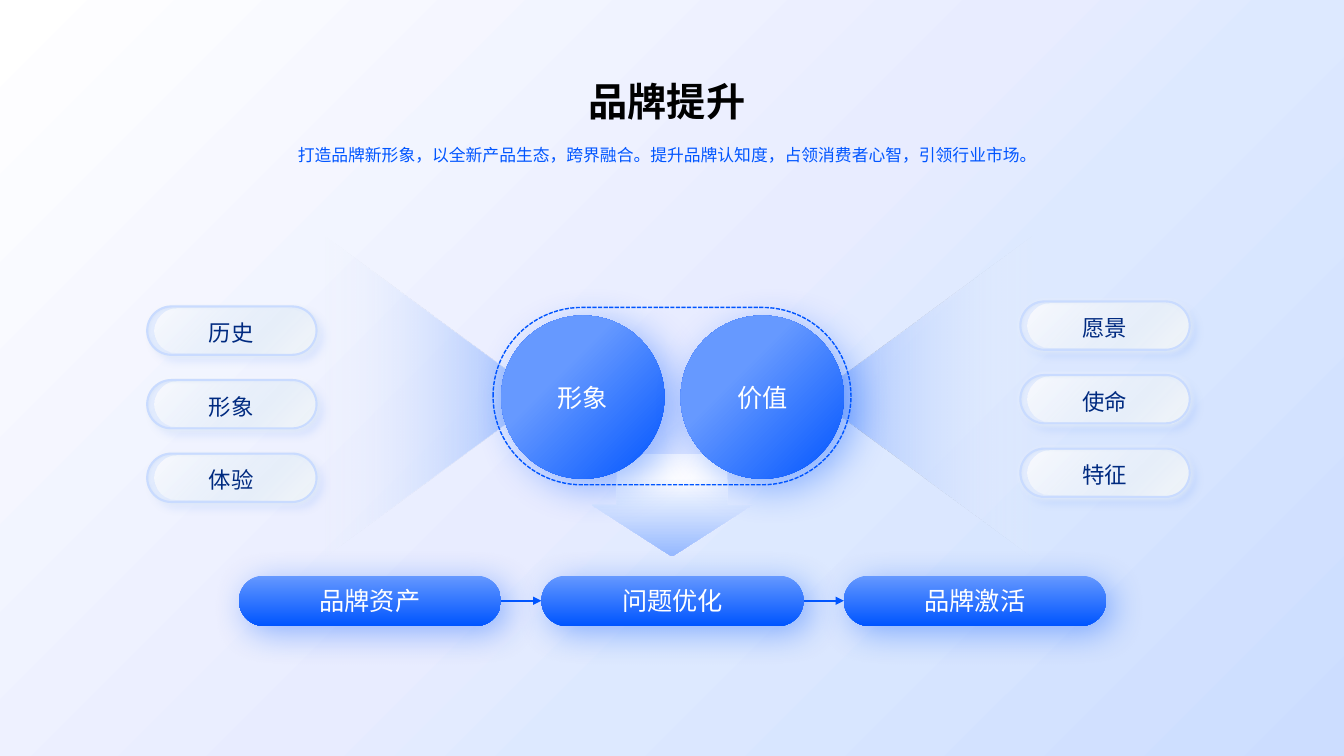
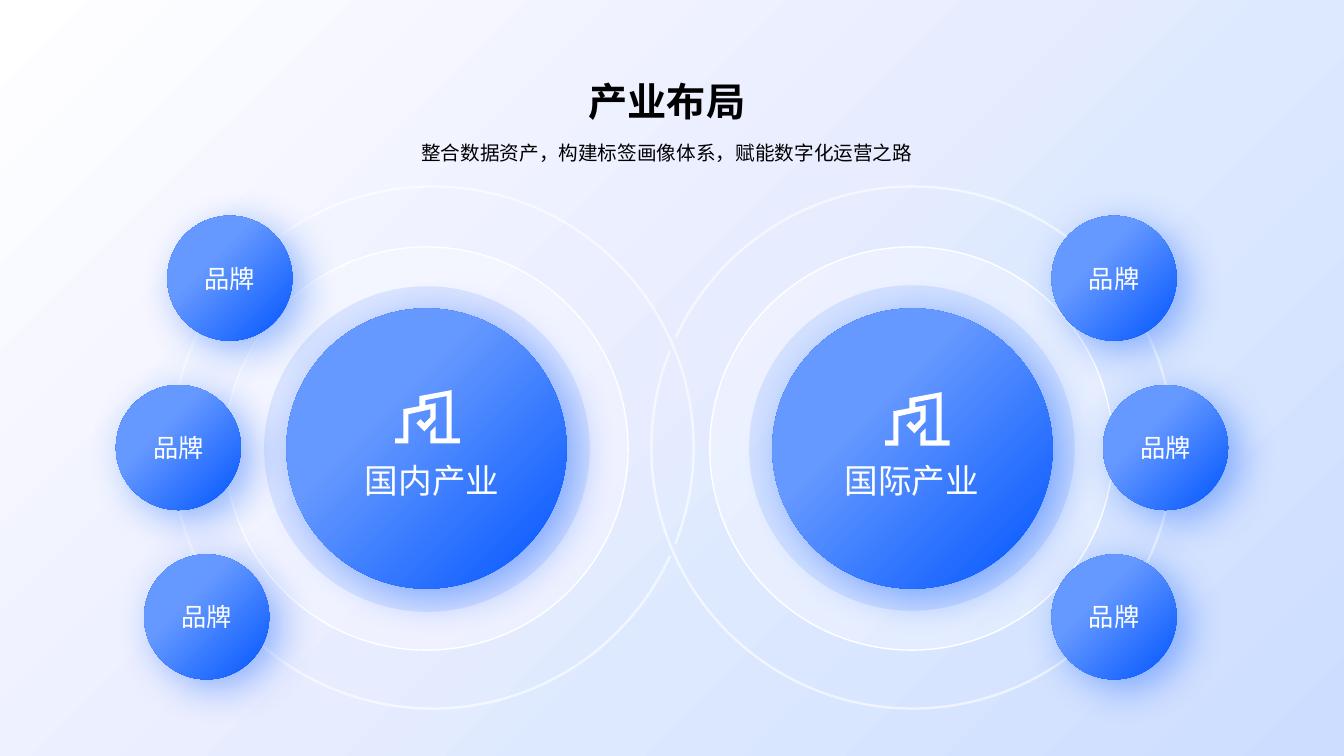
from dataclasses import dataclass
from typing import Any, NamedTuple, Optional

from lxml import etree
from pptx import Presentation
from pptx.dml.color import RGBColor
from pptx.enum import dml, shapes as kinds, text
from pptx.oxml import ns
from pptx.util import Inches, Pt

COLORS = {
    "white": "FFFFFF", "black": "000000", "blue": "0055FF", "mid": "6699FF",
    "light": "99BBFF", "pale": "CCDDFF", "lavender": "E8ECFF", "sky": "DDE9FF",
    "ice": "E3ECFF", "mist": "F2F6FF", "cloud": "F0F5FA", "navy": "002A80",
    "edge": "D7E1F2", "rim": "C9DBFF", "steel": "78A6D3",
}
LATIN, CJK = "Roboto", "Noto Sans CJK SC"
OVAL = kinds.MSO_SHAPE.OVAL
ROUNDED = kinds.MSO_SHAPE.ROUNDED_RECTANGLE


class Stop(NamedTuple):
    at: float
    color: str
    alpha: float = 100


class Gradient(NamedTuple):
    stops: tuple[Stop, ...]
    angle: Optional[float] = None  # None spreads from the top left corner


class Solid(NamedTuple):
    color: str
    alpha: float = 100


class Line(NamedTuple):
    color: str
    width: float
    alpha: float = 100
    dash: Any = None


class Shadow(NamedTuple):
    color: str
    alpha: float
    blur: float
    distance: float
    angle: float


class Frame(NamedTuple):
    left: float
    top: float
    width: float
    height: float


@dataclass(frozen=True)
class Style:
    fill: Any = None
    line: Optional[Line] = None
    shadow: Optional[Shadow] = None
    adjust: tuple[float, ...] = ()
    turn: float = 0


@dataclass(frozen=True)
class Type:
    size: float
    color: str = "white"
    bold: bool = False
    name: str = LATIN
    spacing: float = 1.0


@dataclass(frozen=True)
class Hub:
    label: str
    label_left: float
    ring_left: float
    halo: tuple[float, float]
    core_left: float
    arc_left: float
    arc_adjust: tuple[float, float]
    icon: tuple[float, float]
    satellites: tuple[float, float, float]


BACKDROP = Gradient((Stop(0, "white"), Stop(50, "lavender"), Stop(62, "sky"),
                     Stop(100, "pale")), 45)
BALL = Style(Gradient((Stop(35, "mid"), Stop(100, "blue"))),
             shadow=Shadow("blue", 40, 29, 10, 40))
STEP = Style(Gradient((Stop(0, "mid"), Stop(100, "blue")), 90),
             shadow=Shadow("blue", 40, 25, 7, 45), adjust=(0.5,))
BEAM = Gradient((Stop(0, "mist", 3), Stop(97, "light")), 270)
RING = Style(Solid("white", 31), Line("white", 1))
HALO = Style(Solid("blue", 10))

# Layers of a glass pill, back to front, each with its inset in x and y
PILL_LAYERS = (
    (0, 0, Style(Gradient((Stop(0, "mid"), Stop(100, "pale")), 45),
                 Line("edge", 0.5), Shadow("mid", 17, 6, 6, 45), (0.5,))),
    (0, 0, Style(Gradient((Stop(4, "ice"), Stop(71, "pale"), Stop(99, "white")), 45),
                 Line("edge", 0.5), Shadow("white", 100, 4, 1, 45), (0.5,))),
    (0.07, 0.02, Style(Gradient((Stop(0, "white", 84), Stop(100, "white", 0)), 45),
                       adjust=(0.5,))),
    (0, 0, Style(Gradient((Stop(0, "white", 0), Stop(100, "cloud")), 45),
                 Line("rim", 1.5), Shadow("steel", 14, 2, 1, 45), (0.5,))),
)

TITLE = Type(28, "black", True)
LABEL = Type(18)
PILL_TYPE = Type(16, "navy")
HUB_TYPE = Type(24, name=CJK)

# Outline of the buildings icon, in hundredths of an inch
ICON = ((35, 27), (35, 19), (13, 24), (13, 53), (0, 53), (0, 48), (8, 48), (8, 19),
        (24, 16), (24, 6), (56, 0), (56, 48), (64, 48), (64, 53), (35, 53), (35, 41),
        (40, 36), (40, 48), (51, 48), (51, 6), (30, 10), (30, 15), (40, 13), (40, 29),
        (29, 41), (21, 33), (25, 29), (29, 33))

HUBS = (
    Hub("国内产业", 3.51, 2.23, (2.62, 2.84), 2.84, 1.7, (14.712, 12.99),
        (3.92, 3.87), (1.66, 1.15, 1.43)),
    Hub("国际产业", 8.27, 7.04, (7.43, 2.83), 7.66, 6.46, (123.008, 121.03),
        (8.78, 3.89), (10.43, 10.94, 10.43)),
)


def rgb(color: str) -> RGBColor:
    return RGBColor.from_string(COLORS[color])


def add_node(parent: Any, tag: str, **attributes: Any) -> Any:
    values = {key: str(value) for key, value in attributes.items()}
    return etree.SubElement(parent, ns.qn(tag), values)


def add_color(parent: Any, color: str, alpha: float) -> None:
    node = add_node(parent, "a:srgbClr", val=COLORS[color])
    if alpha < 100:
        add_node(node, "a:alpha", val=int(alpha * 1000))


def put_gradient(properties: Any, gradient: Gradient) -> None:
    """Replace the empty fill of a shape or background by a gradient."""
    node = etree.Element(ns.qn("a:gradFill"), {"rotWithShape": "1"})
    stops = add_node(node, "a:gsLst")
    for stop in gradient.stops:
        mark = add_node(stops, "a:gs", pos=int(stop.at * 1000))
        add_color(mark, stop.color, stop.alpha)
    if gradient.angle is None:
        path = add_node(node, "a:path", path="circle")
        add_node(path, "a:fillToRect", r=100000, b=100000)
    else:
        add_node(node, "a:lin", ang=int(gradient.angle * 60000), scaled=0)
    properties.replace(properties.find(ns.qn("a:noFill")), node)


def put_solid(fill: Any, parent: Any, color: str, alpha: float) -> None:
    fill.solid()
    fill.fore_color.rgb = rgb(color)
    if alpha < 100:
        node = parent.find(ns.qn("a:solidFill")).find(ns.qn("a:srgbClr"))
        add_node(node, "a:alpha", val=int(alpha * 1000))


def apply_style(shape: Any, style: Style) -> None:
    properties = shape.element.spPr
    shape.shadow.inherit = False
    shape.fill.background()
    if isinstance(style.fill, Gradient):
        put_gradient(properties, style.fill)
    elif style.fill:
        put_solid(shape.fill, properties, *style.fill)
    if style.line:
        shape.line.width = Pt(style.line.width)
        outline = properties.find(ns.qn("a:ln"))
        put_solid(shape.line.fill, outline, style.line.color, style.line.alpha)
        if style.line.dash:
            shape.line.dash_style = style.line.dash
    else:
        shape.line.fill.background()
    if style.shadow:
        cast = style.shadow
        node = add_node(properties.find(ns.qn("a:effectLst")), "a:outerShdw",
                        blurRad=Pt(cast.blur), dist=Pt(cast.distance),
                        dir=int(cast.angle * 60000), algn="tl", rotWithShape=0)
        add_color(node, cast.color, cast.alpha)


def write(box: Any, words: str, kind: Type, **frame_format: Any) -> None:
    frame = box.text_frame
    for key, value in frame_format.items():
        setattr(frame, key, value)
    para = frame.paragraphs[0]
    para.alignment = text.PP_ALIGN.CENTER
    para.line_spacing = kind.spacing
    span = para.add_run()
    span.text = words
    values = {"size": Pt(kind.size), "bold": kind.bold, "name": kind.name}
    for key, value in values.items():
        setattr(span.font, key, value)
    span.font.color.rgb = rgb(kind.color)
    add_node(span.font._element, "a:ea", typeface=CJK)


def add_box(shapes: Any, preset: Any, frame: Frame, style: Style,
            words: str = "", kind: Type = LABEL) -> Any:
    box = shapes.add_shape(preset, *map(Inches, frame))
    for index, value in enumerate(style.adjust):
        box.adjustments[index] = value
    box.rotation = style.turn
    apply_style(box, style)
    if words:
        write(box, words, kind, vertical_anchor=text.MSO_ANCHOR.MIDDLE, word_wrap=True)
    return box


def add_label(shapes: Any, frame: Frame, words: str, kind: Type,
              **frame_format: Any) -> None:
    write(shapes.add_textbox(*map(Inches, frame)), words, kind, **frame_format)


def add_page(deck: Any, title: str, subtitle: str, frame: Frame, kind: Type) -> Any:
    """Add a slide with the shared backdrop, title and subtitle."""
    page = deck.slides.add_slide(deck.slide_layouts[6])
    page.background.fill.background()
    put_gradient(page.element.find(".//" + ns.qn("p:bgPr")), BACKDROP)
    add_label(page.shapes, Frame(3.66, 0.72, 6.01, 0.57), title, TITLE,
              word_wrap=True, margin_left=0)
    add_label(page.shapes, frame, subtitle, kind, word_wrap=True, margin_left=0)
    return page


def add_pill(page: Any, left: float, top: float, words: str) -> None:
    shapes = page.shapes.add_group_shape().shapes
    for dx, dy, style in PILL_LAYERS:
        frame = Frame(left + dx, top + dy, 1.68 - 2 * dx, 0.48 - 2 * dy)
        add_box(shapes, ROUNDED, frame, style)
    add_label(shapes, Frame(left + 0.22, top + 0.08, 1.23, 0.37), words, PILL_TYPE,
              word_wrap=True)


def add_arrow(page: Any, source: Any, target: Any) -> None:
    arrow = page.shapes.add_connector(kinds.MSO_CONNECTOR.STRAIGHT, 0, 0, 0, 0)
    arrow.begin_connect(source, 3)
    arrow.end_connect(target, 1)
    arrow.line.color.rgb = rgb("blue")
    arrow.line.width = Pt(1.5)
    properties = arrow.element.spPr
    add_node(properties.find(ns.qn("a:ln")), "a:tailEnd", type="triangle")
    add_node(properties, "a:effectLst")


def build_brand_page(deck: Any) -> None:
    page = add_page(
        deck, "品牌提升",
        "打造品牌新形象，以全新产品生态，跨界融合。提升品牌认知度，占领消费者心智，引领行业市场。",
        Frame(1.87, 1.29, 9.6, 0.37), Type(12, "blue", spacing=1.5))
    shapes = page.shapes
    glow = Gradient((Stop(23, "white"), Stop(97, "light")), 90)
    add_box(shapes, kinds.MSO_SHAPE.DOWN_ARROW, Frame(5.87, 4.5, 1.59, 1.02),
            Style(glow, adjust=(0.69, 0.5)))
    for left, turn in ((2.72, 90), (7.57, 270)):
        add_box(shapes, kinds.MSO_SHAPE.ISOSCELES_TRIANGLE,
                Frame(left, 2.86, 3.17, 2.15), Style(BEAM, turn=turn))
    for left, words in ((4.97, "形象"), (6.75, "价值")):
        add_box(shapes, OVAL, Frame(left, 3.13, 1.62, 1.62), BALL, words)
    dashes = Line("blue", 1, dash=dml.MSO_LINE.SQUARE_DOT)
    add_box(shapes, ROUNDED, Frame(4.89, 3.05, 3.55, 1.76),
            Style(line=dashes, adjust=(0.5,)))
    steps = [add_box(shapes, ROUNDED, Frame(2.37 + 3 * index, 5.71, 2.6, 0.5), STEP, words)
             for index, words in enumerate(("品牌资产", "问题优化", "品牌激活"))]
    for source, target in zip(steps, steps[1:]):
        add_arrow(page, source, target)
    columns = ((1.46, 3.04, ("历史", "形象", "体验")),
               (10.12, 2.99, ("愿景", "使命", "特征")))
    for left, top, names in columns:
        for row, words in enumerate(names):
            add_pill(page, left, top + 0.73 * row, words)


def add_hub(page: Any, hub: Hub) -> None:
    shapes = page.shapes
    add_box(shapes, OVAL, Frame(hub.ring_left, 2.45, 4, 4), RING)
    add_box(shapes, OVAL, Frame(*hub.halo, 3.23, 3.23), HALO)
    add_box(shapes, OVAL, Frame(hub.core_left, 3.06, 2.78, 2.78), BALL)
    orbit = Style(line=Line("white", 1.75, 60), adjust=hub.arc_adjust)
    add_box(shapes, kinds.MSO_SHAPE.ARC, Frame(hub.arc_left, 1.85, 5.18, 5.18), orbit)
    for row, left in enumerate(hub.satellites):
        add_box(shapes, OVAL, Frame(left, 2.14 + 1.68 * row, 1.24, 1.24), BALL, "品牌")
    add_label(shapes, Frame(hub.label_left, 4.51, 1.55, 0.5), hub.label, HUB_TYPE,
              word_wrap=False)
    builder = shapes.build_freeform(*ICON[0], scale=Inches(0.01))
    builder.add_line_segments(ICON[1:], close=True)
    icon = builder.convert_to_shape(*map(Inches, hub.icon))
    apply_style(icon, Style(Solid("white")))


def build_industry_page(deck: Any) -> None:
    page = add_page(deck, "产业布局", "整合数据资产，构建标签画像体系，赋能数字化运营之路",
                    Frame(3.33, 1.23, 6.67, 0.41), Type(14, "black", spacing=1.5))
    for hub in HUBS:
        add_hub(page, hub)


def main() -> None:
    deck = Presentation()
    deck.slide_width, deck.slide_height = Inches(13.33), Inches(7.5)
    build_brand_page(deck)
    build_industry_page(deck)
    deck.save("out.pptx")


if __name__ == "__main__":
    main()
